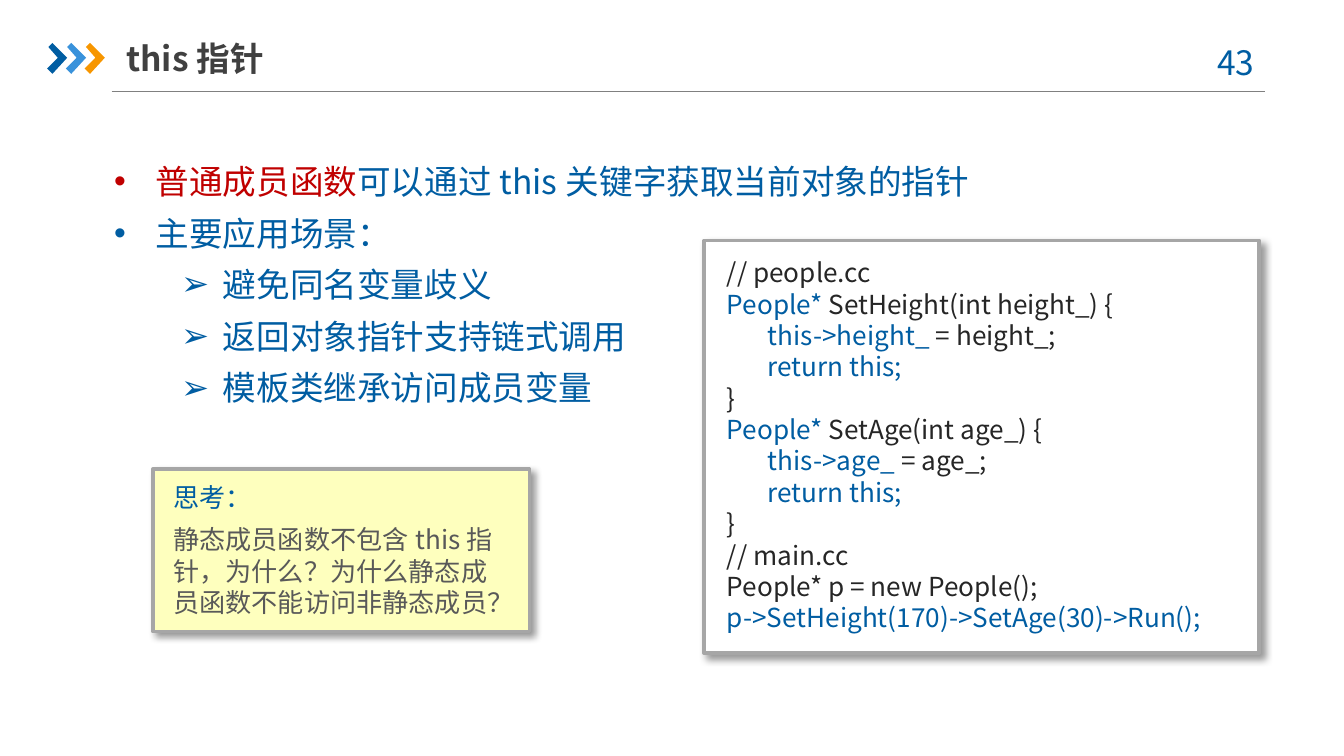
from typing import NamedTuple

from lxml import etree
from pptx import Presentation
from pptx.dml.color import RGBColor
from pptx.enum.shapes import MSO_CONNECTOR, MSO_SHAPE
from pptx.enum.text import MSO_ANCHOR, MSO_AUTO_SIZE, PP_ALIGN
from pptx.oxml import parse_xml
from pptx.oxml.ns import nsdecls, qn
from pptx.util import Emu, Inches, Pt

STRAIGHT = MSO_CONNECTOR.STRAIGHT
RECTANGLE = MSO_SHAPE.RECTANGLE
CENTER = PP_ALIGN.CENTER
MIDDLE = MSO_ANCHOR.MIDDLE
GROW = MSO_AUTO_SIZE.SHAPE_TO_FIT_TEXT
FIXED = MSO_AUTO_SIZE.NONE

FONT = "Noto Sans CJK SC"
BLUE, SKY, ORANGE, RED = "005DA2", "3992DB", "F79600", "C00000"
BLACK, WHITE, YELLOW = "000000", "FFFFFF", "FEFFBE"
INK, TITLE_GRAY, TEXT_GRAY = "262626", "404040", "595959"
BORDER, RULE = "A6A6A6", "808080"
CODE_INDENT = " " * 7


class Box(NamedTuple):
    left: float
    top: float
    width: float
    height: float


class Run(NamedTuple):
    text: str
    color: str


class Para(NamedTuple):
    runs: list[Run]
    bullet: str = ""
    level: int = 0
    after: float = 0


def rgb(color: str) -> RGBColor:
    return RGBColor.from_string(color)


def add_bullet(p, char: str, level: int) -> None:
    p.level = level
    pr = p._p.get_or_add_pPr()
    pr.set("marL", str(Inches(0.31 + 0.5 * level)))
    pr.set("indent", str(Inches(-0.31)))
    etree.SubElement(pr, qn("a:buFont")).set("typeface", "Arial")
    etree.SubElement(pr, qn("a:buChar")).set("char", char)


def add_text(s, box: Box, paras: list[Para], size: float, bold: bool = False):
    sp = s.shapes.add_textbox(*map(Inches, box))
    tf = sp.text_frame
    tf.word_wrap = True
    tf.auto_size = GROW
    for i, para in enumerate(paras):
        p = tf.paragraphs[0] if i == 0 else tf.add_paragraph()
        if para.after:
            p.space_after = Pt(para.after)
        if para.bullet:
            add_bullet(p, para.bullet, para.level)
        for run in para.runs:
            r = p.add_run()
            r.text = run.text
            r.font.size = Pt(size)
            r.font.bold = bold
            r.font.name = FONT
            r.font.color.rgb = rgb(run.color)
            etree.SubElement(r._r.get_or_add_rPr(), qn("a:ea")).set("typeface", FONT)
    return sp


def add_card(s, box: Box, fill: str) -> None:
    """Draw a bordered panel with a soft shadow to the lower right."""
    sp = s.shapes.add_shape(RECTANGLE, *map(Inches, box))
    sp.fill.solid()
    sp.fill.fore_color.rgb = rgb(fill)
    sp.line.color.rgb = rgb(BORDER)
    sp.line.width = Pt(2)
    sp.shadow.inherit = False
    sp._element.spPr.find(qn("a:effectLst")).append(parse_xml(
        f'<a:outerShdw {nsdecls("a")} blurRad="{Pt(4)}" dist="{Pt(3)}" '
        f'dir="{45 * 60000}" algn="tl" rotWithShape="0"><a:srgbClr val="{BLACK}">'
        '<a:alpha val="40000"/></a:srgbClr></a:outerShdw>'))


def add_chevron(s, left: float, color: str) -> None:
    points = [(0.01, 0.35), (0.04, 0.32), (0.15, 0.43),
              (0.04, 0.55), (0, 0.51), (0.08, 0.43)]
    outline = [(Inches(left + x), Inches(y)) for x, y in points]
    builder = s.shapes.build_freeform(*outline[0])
    builder.add_line_segments(outline[1:], close=True)
    sp = builder.convert_to_shape()
    sp.fill.solid()
    sp.fill.fore_color.rgb = rgb(color)
    sp.line.fill.background()
    sp.shadow.inherit = False


def add_header(s) -> None:
    rule = s.shapes.add_connector(STRAIGHT, *map(Inches, (0.83, 0.68, 9.41, 0.68)))
    rule.line.color.rgb = rgb(RULE)
    rule.line.width = Pt(0.75)
    etree.SubElement(rule._element.spPr, qn("a:effectLst"))
    for i, color in enumerate((BLUE, SKY, ORANGE)):
        add_chevron(s, 0.35 + 0.14 * i, color)
    number = add_text(s, Box(8.86, 0.26, 0.73, 0.4), [Para([Run("43 ", BLUE)])], 18)
    number.text_frame.paragraphs[0].alignment = CENTER
    title = add_text(s, Box(0.94, 0.22, 3.2, 0.42),
                     [Para([Run("this指针", TITLE_GRAY)])], 18, bold=True)
    tf = title.text_frame
    tf.auto_size = FIXED
    tf.vertical_anchor = MIDDLE
    tf.margin_left = tf.margin_right = Emu(0)


def setter(name: str, field: str) -> list[Para]:
    """Return the code lines of one chained setter."""
    return [
        Para([Run("People* ", BLUE), Run(f"{name}(int {field}) {{", INK)]),
        Para([Run(f"{CODE_INDENT}this->{field} ", BLUE), Run(f"= {field};", INK)]),
        Para([Run(f"{CODE_INDENT}return this;", BLUE)]),
        Para([Run("}", INK)]),
    ]


def main() -> None:
    prs = Presentation()
    prs.slide_width = Inches(10)
    prs.slide_height = prs.slide_width * 9 // 16
    s = prs.slides.add_slide(prs.slide_layouts[6])
    add_header(s)

    points = [Para([Run("普通成员函数", RED),
                    Run("可以通过this关键字获取当前对象的指针", BLUE)], "•", after=6),
              Para([Run("主要应用场景：", BLUE)], "•", after=6)]
    uses = ("避免同名变量歧义", "返回对象指针支持链式调用", "模板类继承访问成员变量")
    points += [Para([Run(use, BLUE)], "➢", 1, 6) for use in uses]
    add_text(s, Box(0.75, 1.15, 7.99, 2.34), points, 18)

    code = [
        Para([Run("// people.cc", INK)]),
        *setter("SetHeight", "height_"),
        *setter("SetAge", "age_"),
        Para([Run("// main.cc", INK)]),
        Para([Run("People* p = new People();", INK)]),
        Para([Run("p->SetHeight(170)->SetAge(30)->Run();", BLUE)]),
    ]
    add_card(s, Box(5.24, 1.79, 4.13, 3.07), WHITE)
    add_text(s, Box(5.31, 1.86, 3.99, 2.93), code, 14)

    question = [
        Para([Run("思考：", BLUE)], after=6),
        Para([Run("静态成员函数不包含this指针，为什么？"
                  "为什么静态成员函数不能访问非静态成员？", TEXT_GRAY)], after=6),
    ]
    add_card(s, Box(1.14, 3.49, 2.8, 1.21), YELLOW)
    note = add_text(s, Box(1.19, 3.53, 2.7, 1.04), question, 14)
    note.fill.solid()
    note.fill.fore_color.rgb = rgb(YELLOW)

    prs.save("out.pptx")


if __name__ == "__main__":
    main()
